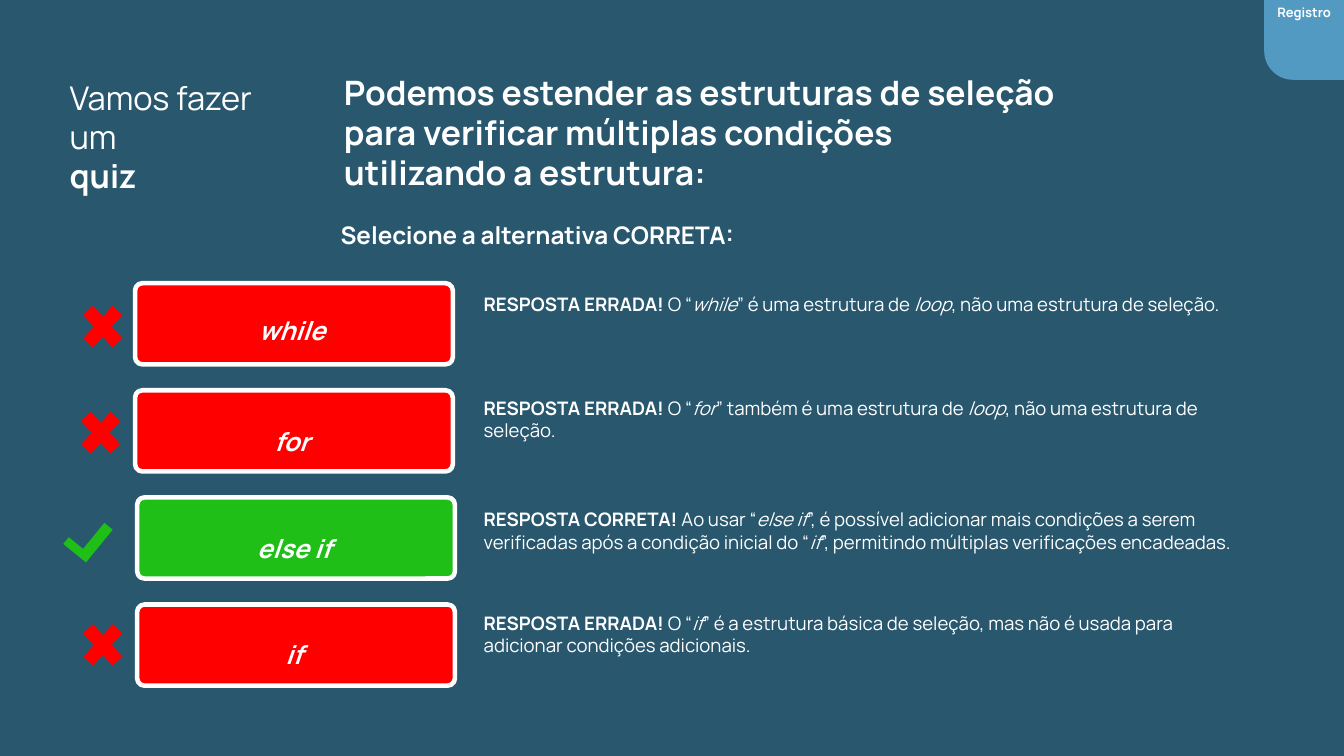
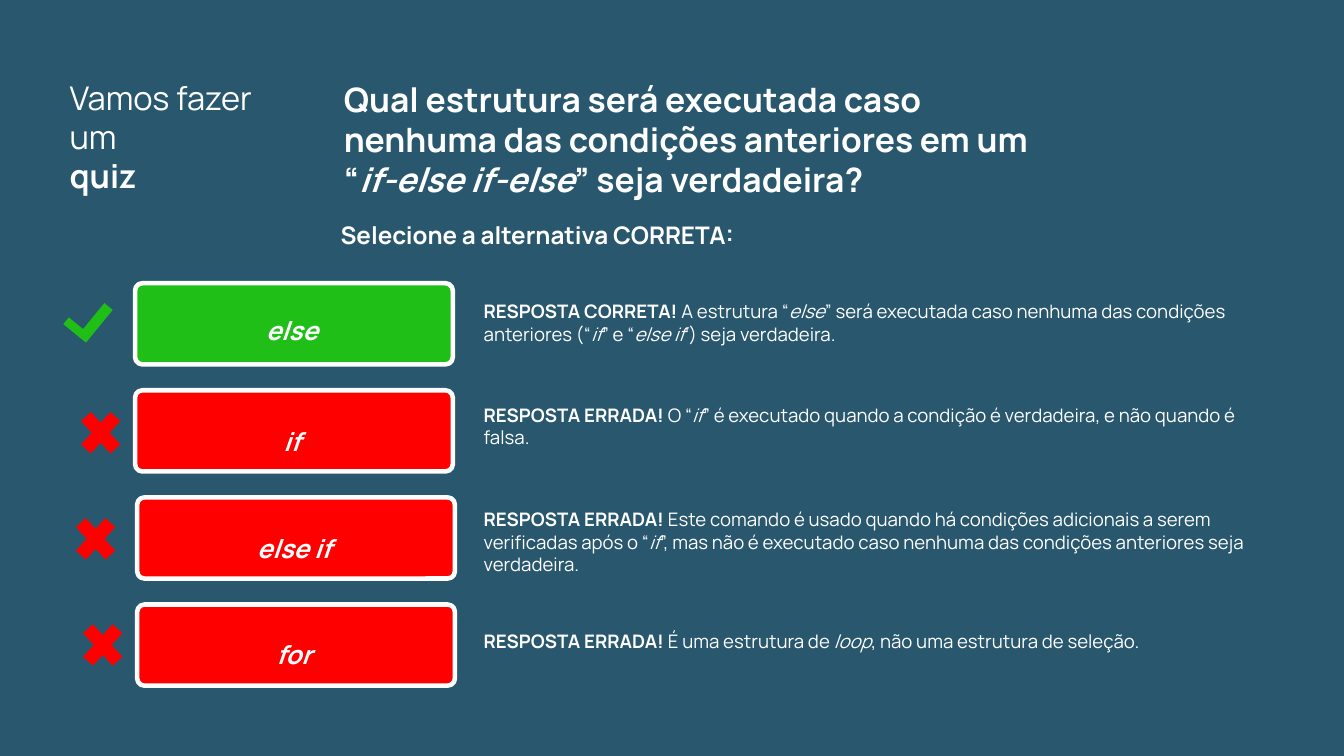
"""Build two quiz slides with commented answers."""
from pptx import Presentation
from pptx.dml.color import RGBColor
from pptx.enum.shapes import MSO_SHAPE as Shape
from pptx.enum.text import MSO_ANCHOR as Anchor, MSO_AUTO_SIZE as AutoSize, PP_ALIGN as Align
from pptx.util import Pt

NAVY = RGBColor(0x28, 0x57, 0x6E)
SKY = RGBColor(0x52, 0x9A, 0xC2)
WHITE = RGBColor(0xFF, 0xFF, 0xFF)
RED = RGBColor(0xFF, 0x00, 0x00)
GREEN = RGBColor(0x1F, 0xBF, 0x17)
FONT = "Manrope"
WIDTH, HEIGHT = 960, 540

SECTION = ("Vamos fazer um", "**quiz**")
PROMPT = "**Selecione a alternativa CORRETA:**"
VERDICTS = {True: "**RESPOSTA CORRETA!** ", False: "**RESPOSTA ERRADA!** "}

QUIZZES = [
    {
        "question": "**Podemos estender as estruturas de seleção para verificar "
                    "múltiplas condições utilizando a estrutura:**",
        "question_top": 47.5,
        "tag": "**Registro**",
        "answers": [
            ("while", False, 209.5,
             "O “*while*” é uma estrutura de *loop*, não uma estrutura de seleção."),
            ("for", False, 283.5,
             "O “*for*” também é uma estrutura de *loop*, não uma estrutura de seleção."),
            ("else if", True, 363,
             "Ao usar “*else if*”, é possível adicionar mais condições a serem verificadas após "
             "a condição inicial do “*if*”, permitindo múltiplas verificações encadeadas."),
            ("if", False, 437,
             "O “*if*” é a estrutura básica de seleção, mas não é usada para adicionar "
             "condições adicionais."),
        ],
    },
    {
        "question": "**Qual estrutura será executada caso nenhuma das condições anteriores "
                    "em um “*if-else if-else*” seja verdadeira?**",
        "question_top": 52.5,
        "tag": None,
        "answers": [
            ("else", True, 214.5,
             "A estrutura “*else*” será executada caso nenhuma das condições anteriores "
             "(“*if*” e “*else if*’) seja verdadeira."),
            ("if", False, 288.5,
             "O “*if*” é executado quando a condição é verdadeira, e não quando é falsa."),
            ("else if", False, 363,
             "Este comando é usado quando há condições adicionais a serem verificadas após o "
             "“*if*”, mas não é executado caso nenhuma das condições anteriores seja verdadeira."),
            ("for", False, 450,
             "É uma estrutura de *loop*, não uma estrutura de seleção."),
        ],
    },
]

BUTTON_TOP, BUTTON_PITCH = 202.3, 76.5
BUTTON_WIDTH, BUTTON_HEIGHT = 227, 58
ROWS = [
    {"button_left": 96.5, "label_drop": 10, "cross_left": 53.3},
    {"button_left": 96.5, "label_drop": 12.8, "cross_left": 51.8},
    {"button_left": 98, "label_drop": 12.6, "cross_left": 48.2},
    {"button_left": 98, "label_drop": 11.6, "cross_left": 53.3},
]
CROSS_TOP, CROSS_PITCH = 211, 75.8
CHECK_TOP, CHECK_PITCH = 216, 78.5
TAG_SIZE = 57


def write(shape, *paragraphs, size, align=Align.LEFT, spacing=None,
          anchor=Anchor.TOP, margins=(0, 0, 0, 0)):
    """Fill a shape with text; ** toggles bold and * toggles italic."""
    frame = shape.text_frame
    frame.word_wrap = True
    frame.auto_size = AutoSize.NONE
    frame.vertical_anchor = anchor
    (frame.margin_left, frame.margin_top,
     frame.margin_right, frame.margin_bottom) = map(Pt, margins)
    for number, text in enumerate(paragraphs):
        para = frame.add_paragraph() if number else frame.paragraphs[0]
        para.alignment = align
        if spacing:
            para.line_spacing = spacing
        for bold_index, chunk in enumerate(text.split("**")):
            for italic_index, part in enumerate(chunk.split("*")):
                if part:
                    span = para.add_run()
                    span.text = part
                    span.font.name = FONT
                    span.font.size = Pt(size)
                    span.font.color.rgb = WHITE
                    span.font.bold = bold_index % 2 == 1
                    span.font.italic = italic_index % 2 == 1


def add_text(page, box, *paragraphs, **style):
    """Add a text box at (left, top, width, height)."""
    write(page.shapes.add_textbox(*map(Pt, box)), *paragraphs, **style)


def add_figure(page, kind, box, fill, adjustments, rotation=0, line=None):
    """Add a flat preset shape, outlined in white when a line width is given."""
    figure = page.shapes.add_shape(kind, *map(Pt, box))
    figure.shadow.inherit = False
    figure.rotation = rotation
    figure.fill.solid()
    figure.fill.fore_color.rgb = fill
    if line:
        figure.line.color.rgb = WHITE
        figure.line.width = Pt(line)
    else:
        figure.line.fill.background()
    for index, value in enumerate(adjustments):
        figure.adjustments[index] = value
    return figure


def add_mark(page, index, correct):
    """Draw the check or the cross beside a button."""
    if correct:
        box = (47.8, CHECK_TOP + index * CHECK_PITCH, 30.2, 20.9)
        add_figure(page, Shape.CORNER, box, GREEN, (0.368, 0.297), rotation=309.3)
    else:
        box = (ROWS[index]["cross_left"], CROSS_TOP + index * CROSS_PITCH, 40.3, 44.6)
        add_figure(page, Shape.MATH_MULTIPLY, box, RED, (0.235,))


def add_answer(page, index, label, correct, comment_top, comment):
    """Draw one answer row: mark, button and comment."""
    row = ROWS[index]
    box = (row["button_left"], BUTTON_TOP + index * BUTTON_PITCH, BUTTON_WIDTH, BUTTON_HEIGHT)
    button = add_figure(page, Shape.ROUNDED_RECTANGLE, box, GREEN if correct else RED,
                        (0.09,), line=3.25)
    write(button, f"***{label}***", size=18.4, align=Align.CENTER, spacing=1.5,
          margins=(0, row["label_drop"], 3, 0))
    add_mark(page, index, correct)
    add_text(page, (345.5, comment_top, 552, 48), VERDICTS[correct] + comment, size=13.3)


def add_tag(page, text):
    """Draw the corner tag."""
    left = WIDTH - TAG_SIZE
    add_figure(page, Shape.ROUND_1_RECTANGLE, (left, 0, TAG_SIZE, TAG_SIZE), SKY,
               (0.36,), rotation=180)
    add_text(page, (left, 0, TAG_SIZE, 16), text, size=9.3, align=Align.CENTER,
             spacing=1.07, margins=(5, 2.4, 5, 2.4))


def add_quiz(deck, quiz):
    """Build one quiz slide."""
    page = deck.slides.add_slide(deck.slide_layouts[5])
    title = page.shapes.title
    title.left, title.top, title.width, title.height = map(
        Pt, (238.5, quiz["question_top"], 525, 86.5))
    write(title, quiz["question"], size=24, margins=(7.2, 3.6, 7.2, 3.6))
    add_text(page, (49.7, 55.5, 135.5, 85), *SECTION, size=23.3)
    add_text(page, (238.5, 155, 500, 43), PROMPT, size=17.3, margins=(4.8, 2.4, 4.8, 2.4))
    for index, answer in enumerate(quiz["answers"]):
        add_answer(page, index, *answer)
    if quiz["tag"]:
        add_tag(page, quiz["tag"])


def main():
    """Build and save the deck."""
    deck = Presentation()
    deck.slide_width, deck.slide_height = Pt(WIDTH), Pt(HEIGHT)
    background = deck.slide_master.background.fill
    background.solid()
    background.fore_color.rgb = NAVY
    for quiz in QUIZZES:
        add_quiz(deck, quiz)
    deck.save("out.pptx")


if __name__ == "__main__":
    main()
